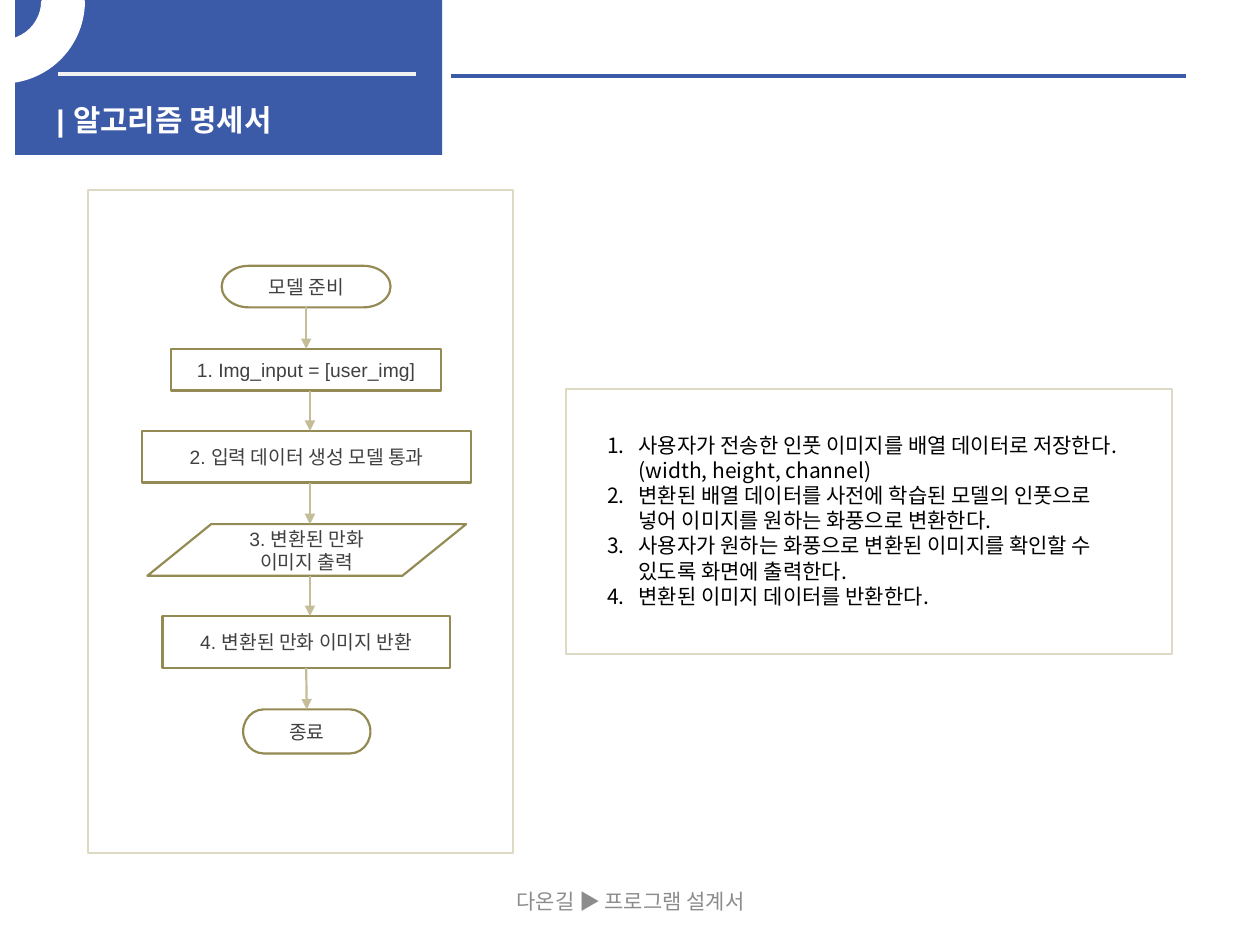
from dataclasses import dataclass

from lxml import etree
from pptx import Presentation
from pptx.dml.color import RGBColor
from pptx.enum.shapes import MSO_CONNECTOR, MSO_SHAPE
from pptx.enum.text import MSO_ANCHOR, MSO_AUTO_SIZE, PP_ALIGN
from pptx.oxml.ns import qn
from pptx.util import Inches, Pt

RECTANGLE = MSO_SHAPE.RECTANGLE
BLOCK_ARC = MSO_SHAPE.BLOCK_ARC
TERMINATOR = MSO_SHAPE.FLOWCHART_TERMINATOR
PROCESS = MSO_SHAPE.FLOWCHART_PROCESS
DATA = MSO_SHAPE.FLOWCHART_DATA
STRAIGHT = MSO_CONNECTOR.STRAIGHT
LEFT, CENTER = PP_ALIGN.LEFT, PP_ALIGN.CENTER
TOP, MIDDLE = MSO_ANCHOR.TOP, MSO_ANCHOR.MIDDLE
GROW = MSO_AUTO_SIZE.SHAPE_TO_FIT_TEXT
BOTTOM_SITE, TOP_SITE = 2, 0

COLORS = {
    "banner": "3B5AA8",
    "white": "FFFFFF",
    "banner_rule": "F2F2F2",
    "footer": "8C8C8C",
    "step_line": "948A54",
    "step_text": "404040",
    "arrow": "C4BD97",
    "frame": "DDD9C3",
    "black": "000000",
}
KOREAN_FONT = "Noto Sans CJK KR"


@dataclass
class Box:
    left: float
    top: float
    width: float
    height: float

    def lengths(self):
        return [Inches(v) for v in (self.left, self.top, self.width, self.height)]


@dataclass
class Step:
    text: str
    kind: MSO_SHAPE
    box: Box


@dataclass
class Arrow:
    x: float
    centred: bool = False


STEPS = [
    Step("모델 준비", TERMINATOR, Box(1.76, 2.11, 1.34, 0.33)),
    Step("1. Img_input = [user_img]", PROCESS, Box(1.36, 2.77, 2.14, 0.33)),
    Step("2. 입력 데이터 생성 모델 통과", PROCESS, Box(1.13, 3.42, 2.61, 0.41)),
    Step("3. 변환된 만화 이미지 출력", DATA, Box(1.17, 4.16, 2.53, 0.41)),
    Step("4. 변환된 만화 이미지 반환", PROCESS, Box(1.29, 4.89, 2.28, 0.41)),
    Step("종료", TERMINATOR, Box(1.93, 5.63, 1.01, 0.35)),
]
ARROWS = [Arrow(2.43, True), Arrow(2.46), Arrow(2.46), Arrow(2.46), Arrow(2.44, True)]
FRAMES = [Box(0.7, 1.51, 3.37, 5.26), Box(4.49, 3.09, 4.81, 2.1)]
DESCRIPTIONS = [
    "사용자가 전송한 인풋 이미지를 배열 데이터로 저장한다. (width, height, channel)",
    "변환된 배열 데이터를 사전에 학습된 모델의 인풋으로 넣어 이미지를 원하는 화풍으로 변환한다.",
    "사용자가 원하는 화풍으로 변환된 이미지를 확인할 수 있도록 화면에 출력한다.",
    "변환된 이미지 데이터를 반환한다.",
]


def rgb(color: str) -> RGBColor:
    return RGBColor.from_string(COLORS[color])


def write_text(shape, paragraphs: list[str], *, size: float, color: str, font="Arial",
               bold=False, align=LEFT, anchor=TOP, numbered=False, spacing=None):
    frame = shape.text_frame
    frame.word_wrap = True
    frame.vertical_anchor = anchor
    for index, text in enumerate(paragraphs):
        paragraph = frame.add_paragraph() if index else frame.paragraphs[0]
        paragraph.alignment = align
        if spacing:
            paragraph.line_spacing = Pt(spacing)
        if numbered:
            properties = paragraph._p.get_or_add_pPr()
            properties.set("marL", str(Inches(0.25)))
            properties.set("indent", str(Inches(-0.25)))
            etree.SubElement(properties, qn("a:buAutoNum"), type="arabicPeriod")
        run = paragraph.add_run()
        run.text = text
        run.font.size = Pt(size)
        run.font.name = font
        run.font.bold = bold
        run.font.color.rgb = rgb(color)


def add_shape(slide, kind: MSO_SHAPE, box: Box, fill=None, line=None, width=1.25):
    shape = slide.shapes.add_shape(kind, *box.lengths())
    shape.shadow.inherit = False
    if fill:
        shape.fill.solid()
        shape.fill.fore_color.rgb = rgb(fill)
    else:
        shape.fill.background()
    if line:
        shape.line.color.rgb = rgb(line)
        shape.line.width = Pt(width)
    else:
        shape.line.fill.background()
    return shape


def add_textbox(slide, box: Box):
    return slide.shapes.add_textbox(*box.lengths())


def add_line(slide, start: tuple[float, float], end: tuple[float, float],
             color: str, width: float, arrowhead=False):
    line = slide.shapes.add_connector(STRAIGHT, *map(Inches, start + end))
    line.line.color.rgb = rgb(color)
    line.line.width = Pt(width)
    if arrowhead:
        etree.SubElement(line.line._get_or_add_ln(), qn("a:tailEnd"), type="triangle")
    etree.SubElement(line._element.spPr, qn("a:effectLst"))
    return line


def add_header(slide):
    add_shape(slide, RECTANGLE, Box(0.12, 0, 3.39, 1.23), fill="banner")
    add_line(slide, (0.46, 0.59), (3.3, 0.59), "banner_rule", 2.25)
    add_line(slide, (3.58, 0.6), (9.41, 0.6), "banner", 2.25)
    title = add_textbox(slide, Box(0.35, 0.76, 3.23, 0.3))
    write_text(title, ["| 알고리즘 명세서"], size=17, color="white", bold=True)
    ring = add_shape(slide, BLOCK_ARC, Box(-0.63, -0.63, 1.29, 1.28), "white", "white", 2)
    ring.adjustments[0] = 161.59 * 60000 / 100000
    ring.adjustments[1] = 0
    ring.adjustments[2] = 0.25
    ring._element.spPr.find(qn("a:xfrm")).set("flipV", "1")


def add_flowchart(slide):
    step_shapes = []
    for step in STEPS:
        shape = add_shape(slide, step.kind, step.box, line="step_line")
        write_text(shape, [step.text], size=11, color="step_text",
                   align=CENTER, anchor=MIDDLE)
        step_shapes.append(shape)
    for index, arrow in enumerate(ARROWS):
        upper, lower = STEPS[index].box, STEPS[index + 1].box
        connector = add_line(slide, (arrow.x, upper.top + upper.height),
                             (arrow.x, lower.top), "arrow", 1.25, arrowhead=True)
        if arrow.centred:
            connector.begin_connect(step_shapes[index], BOTTOM_SITE)
            connector.end_connect(step_shapes[index + 1], TOP_SITE)


def add_descriptions(slide):
    descriptions = add_textbox(slide, Box(4.72, 3.38, 4.35, 1.51))
    write_text(descriptions, DESCRIPTIONS, size=12, color="black", font=KOREAN_FONT,
               numbered=True, spacing=14.4)
    descriptions.text_frame.auto_size = GROW


def main():
    presentation = Presentation()
    presentation.slide_width = Inches(10)
    presentation.slide_height = Inches(7.5)
    slide = presentation.slides.add_slide(presentation.slide_layouts[6])
    add_header(slide)
    footer = add_textbox(slide, Box(3.42, 6.95, 3.17, 0.4))
    write_text(footer, ["다온길 ▶ 프로그램 설계서"], size=12, color="footer",
               font=KOREAN_FONT, align=CENTER, anchor=MIDDLE)
    add_flowchart(slide)
    for frame in FRAMES:
        add_shape(slide, RECTANGLE, frame, line="frame")
    add_descriptions(slide)
    presentation.save("out.pptx")


if __name__ == "__main__":
    main()
